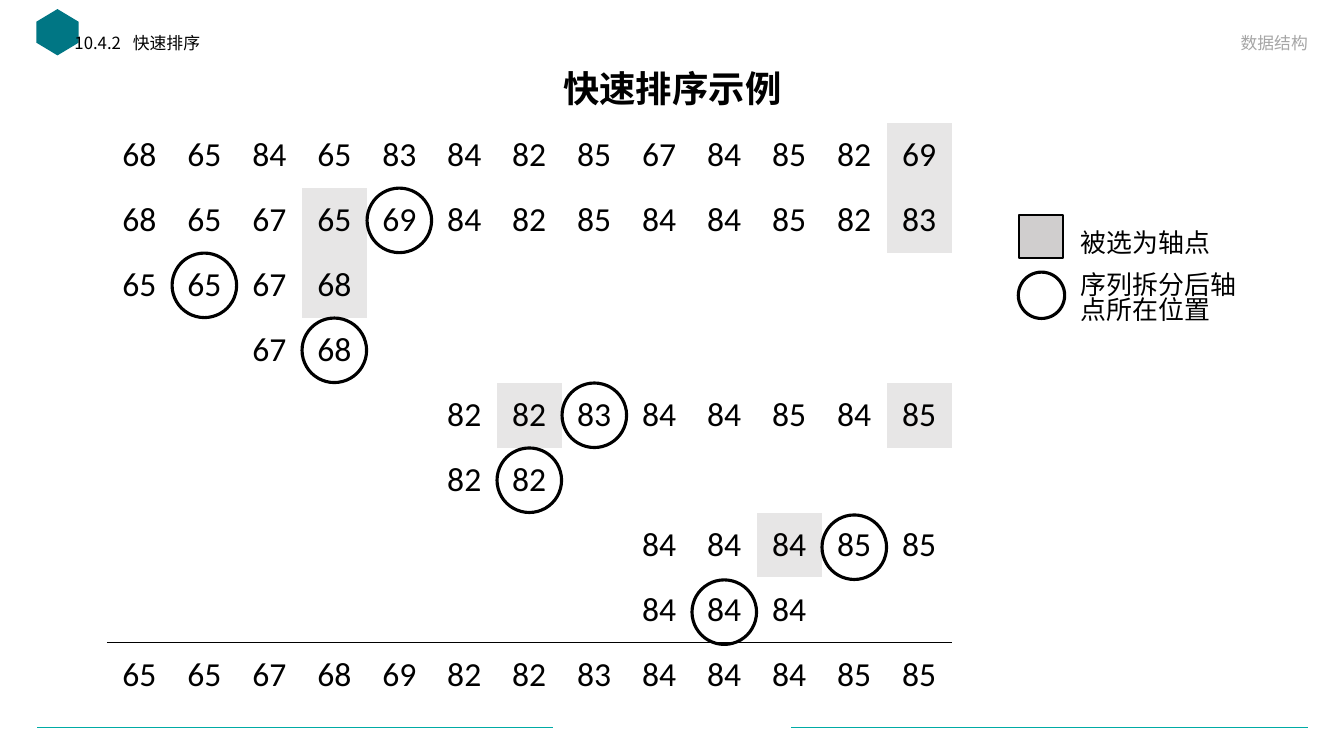
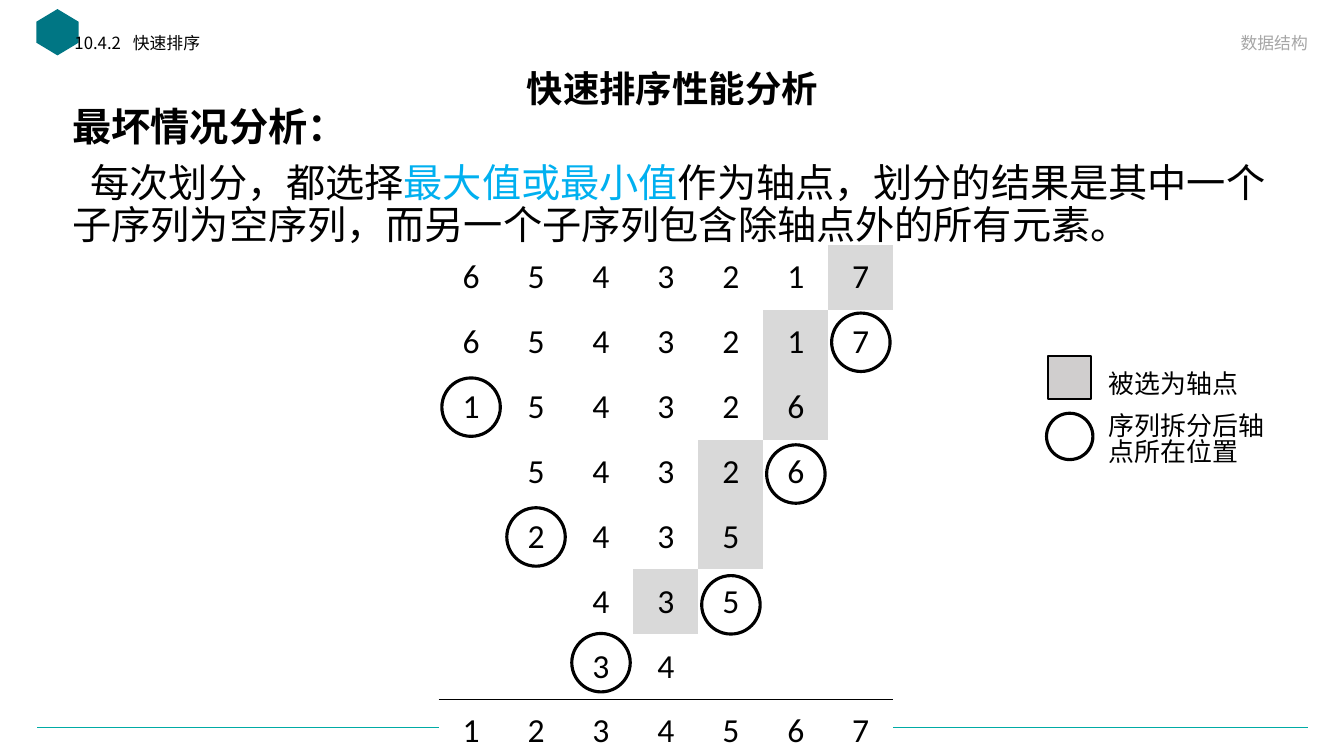
import dataclasses

import pptx
import pptx.dml.color
import pptx.enum.shapes
import pptx.enum.text
import pptx.oxml
import pptx.oxml.ns
import pptx.util

Inches = pptx.util.Inches
Pt = pptx.util.Pt
Shape = pptx.enum.shapes.MSO_SHAPE
Align = pptx.enum.text.PP_ALIGN
Anchor = pptx.enum.text.MSO_ANCHOR
qn = pptx.oxml.ns.qn
DRAWING = pptx.oxml.ns.nsdecls("a")
NO_TABLE_STYLE = "{2D5ABB26-0587-4C30-8999-92F81FD0307C}"


@dataclasses.dataclass(frozen=True)
class Theme:
    ink: str = "000000"
    teal: str = "00ABA5"
    emblem: str = "007684"
    muted: str = "A6A6A6"
    accent: str = "00B0F0"
    white: str = "FFFFFF"
    legend_fill: str = "D0CECE"
    text_font: str = "Noto Sans CJK SC"
    number_font: str = "Calibri"
    title_size: float = 26
    body_size: float = 28
    number_size: float = 24
    legend_size: float = 18.5
    label_size: float = 12
    circle_line: float = 2.25


THEME = Theme()


def rgb(value):
    return pptx.dml.color.RGBColor.from_string(value)


def add_span(para, text, size, color=THEME.ink, bold=False, font=THEME.text_font):
    span = para.add_run()
    span.text = text
    span.font.size = Pt(size)
    span.font.bold = bold
    span.font.name = font
    span.font.color.rgb = rgb(color)
    east_asian = pptx.oxml.parse_xml(f'<a:ea {DRAWING} typeface="{font}"/>')
    span.font._element.append(east_asian)


def add_box(page, left, top, width, height, anchor=Anchor.TOP):
    box = page.shapes.add_textbox(
        Inches(left), Inches(top), Inches(width), Inches(height))
    box.text_frame.word_wrap = True
    box.text_frame.vertical_anchor = anchor
    return box.text_frame


def add_outline(page, kind, left, top, size, fill=None, line=THEME.circle_line):
    shape = page.shapes.add_shape(
        kind, Inches(left), Inches(top), Inches(size), Inches(size))
    shape.shadow.inherit = False
    if fill:
        shape.fill.solid()
        shape.fill.fore_color.rgb = rgb(fill)
    else:
        shape.fill.background()
    shape.line.color.rgb = rgb(THEME.ink)
    shape.line.width = Pt(line)


def add_footer_line(page, left, right, top):
    line = page.shapes.add_connector(
        pptx.enum.shapes.MSO_CONNECTOR.STRAIGHT,
        Inches(left), Inches(top), Inches(right), Inches(top))
    line.line.color.rgb = rgb(THEME.teal)
    line.line.width = Pt(0.5)
    line._element.spPr.append(pptx.oxml.parse_xml(f"<a:effectLst {DRAWING}/>"))


def add_emblem(page, left, top, width, height):
    emblem = page.shapes.add_shape(
        Shape.HEXAGON, Inches(left), Inches(top), Inches(width), Inches(height))
    emblem.rotation = 90
    emblem.adjustments[0] = 0.3
    emblem.shadow.inherit = False
    emblem.fill.solid()
    emblem.fill.fore_color.rgb = rgb(THEME.emblem)
    emblem.line.fill.background()


def add_page(deck, title):
    page = deck.slides.add_slide(deck.slide_layouts[6])
    for left, right in ((0.37, 5.48), (7.85, 12.97)):
        add_footer_line(page, left, right, 7.22)
    add_emblem(page, 0.34, 0.11, 0.46, 0.42)

    para = add_box(page, 0.92, 0.62, 11.5, 0.57, Anchor.MIDDLE).paragraphs[0]
    para.alignment = Align.CENTER
    para.line_spacing = 0.9
    add_span(para, title, THEME.title_size, bold=True)

    para = add_box(page, 0.64, 0.3, 5.32, 0.36).paragraphs[0]
    para.line_spacing = 0.9
    tabs = f'<a:tabLst {DRAWING}><a:tab pos="{Inches(0.58)}" algn="l"/></a:tabLst>'
    para._p.get_or_add_pPr().append(pptx.oxml.parse_xml(tabs))
    add_span(para, "10.4.2\t快速排序", THEME.label_size)

    para = add_box(page, 7.43, 0.22, 5.64, 0.35, Anchor.BOTTOM).paragraphs[0]
    para.alignment = Align.RIGHT
    add_span(para, "数据结构", THEME.label_size, THEME.muted)
    return page


def add_border(cell, side):
    border = pptx.oxml.parse_xml(
        f'<a:{side} {DRAWING} w="{Pt(1)}"><a:solidFill>'
        f'<a:srgbClr val="{THEME.ink}"/></a:solidFill></a:{side}>')
    cell._tc.get_or_add_tcPr().insert(0, border)


def fill_cell(cell, text, fill):
    if fill:
        cell.fill.solid()
        cell.fill.fore_color.rgb = rgb(fill)
    else:
        cell.fill.background()
    cell.vertical_anchor = Anchor.MIDDLE
    if text:
        para = cell.text_frame.paragraphs[0]
        para.alignment = Align.CENTER
        add_span(para, text, THEME.number_size, font=THEME.number_font)


def add_trace(page, box, rows, pivot_fill, cell_fill, circle, drops):
    """Tokens: [n] is a chosen pivot, (n) is a pivot in its final place."""
    left, top, width, height = box
    columns = len(rows[-1][1].split())
    table = page.shapes.add_table(
        len(rows), columns, *(Inches(length) for length in box)).table
    table.first_row = False
    table.horz_banding = False
    table._tbl.tblPr.find(qn("a:tableStyleId")).text = NO_TABLE_STYLE
    cell_width, cell_height = width / columns, height / len(rows)
    for column in table.columns:
        column.width = Inches(cell_width)

    circles = []
    for row, (start, values) in enumerate(rows):
        table.rows[row].height = Inches(cell_height)
        tokens = dict(enumerate(values.split(), start))
        for column in range(columns):
            token = tokens.get(column, "")
            fill = pivot_fill if token.startswith("[") else cell_fill
            cell = table.cell(row, column)
            fill_cell(cell, token.strip("[]()"), fill)
            if row == len(rows) - 2:
                add_border(cell, "lnB")
            elif row == len(rows) - 1:
                add_border(cell, "lnT")
            if token.startswith("("):
                circles.append((row, column))

    for row, column in circles:
        add_outline(
            page, Shape.OVAL,
            left + column * cell_width + (cell_width - circle) / 2,
            top + row * cell_height + (cell_height - circle) / 2 + drops.get(row, 0),
            circle)


def add_legend(page, left, top):
    frame = add_box(page, left + 0.52, top + 0.13, 1.96, 1.04)
    for index, text in enumerate(("被选为轴点", "序列拆分后轴点所在位置")):
        para = frame.add_paragraph() if index else frame.paragraphs[0]
        para.line_spacing = Pt(18)
        para.space_before = Pt(12 if index else 0)
        add_span(para, text, THEME.legend_size)
    add_outline(page, Shape.RECTANGLE, left + 0.01, top, 0.43, THEME.legend_fill, 1.5)
    add_outline(page, Shape.OVAL, left, top + 0.57, 0.46)


def add_worst_case(page, left, top, width, height):
    frame = add_box(page, left, top, width, height)
    heading = frame.paragraphs[0]
    heading.line_spacing = Pt(30)
    add_span(heading, "最坏情况分析：", THEME.body_size, bold=True)
    para = frame.add_paragraph()
    para.line_spacing = Pt(30)
    para.space_before = Pt(10)
    para._p.get_or_add_pPr().set("indent", str(Inches(0.18)))
    for text, color in (
        ("每次划分，都选择", THEME.ink),
        ("最大值或最小值", THEME.accent),
        ("作为轴点，划分的结果是其中一个子序列为空序列，"
         "而另一个子序列包含除轴点外的所有元素。", THEME.ink),
    ):
        add_span(para, text, THEME.body_size, color)


def build_example(deck):
    page = add_page(deck, "快速排序示例")
    rows = (
        (0, "68 65 84 65 83 84 82 85 67 84 85 82 [69]"),
        (0, "68 65 67 [65] (69) 84 82 85 84 84 85 82 [83]"),
        (0, "65 (65) 67 [68]"),
        (2, "67 (68)"),
        (5, "82 [82] (83) 84 84 85 84 [85]"),
        (5, "82 (82)"),
        (8, "84 84 [84] (85) 85"),
        (8, "84 (84) 84"),
        (0, "65 65 67 68 69 82 82 83 84 84 84 85 85"),
    )
    add_trace(page, (1.06, 1.22, 8.38, 5.8), rows, "E7E6E6", None, 0.64,
              {6: 0.02, 7: 0.02})
    add_legend(page, 10.1, 2.13)


def build_analysis(deck):
    page = add_page(deck, "快速排序性能分析")
    add_worst_case(page, 0.62, 1.02, 12.09, 5.5)
    rows = (
        (0, "6 5 4 3 2 1 [7]"),
        (0, "6 5 4 3 2 [1] (7)"),
        (0, "(1) 5 4 3 2 [6]"),
        (1, "5 4 3 [2] (6)"),
        (1, "(2) 4 3 [5]"),
        (2, "4 [3] (5)"),
        (2, "(3) 4"),
        (0, "1 2 3 4 5 6 7"),
    )
    add_trace(page, (4.35, 2.43, 4.51, 5.15), rows, "D9D9D9", THEME.white, 0.58,
              {3: 0.02, 5: 0.03, 6: -0.04})
    add_legend(page, 10.38, 3.53)


def main():
    deck = pptx.Presentation()
    deck.slide_width = Inches(13.33)
    deck.slide_height = Inches(7.5)
    build_example(deck)
    build_analysis(deck)
    deck.save("out.pptx")


if __name__ == "__main__":
    main()
